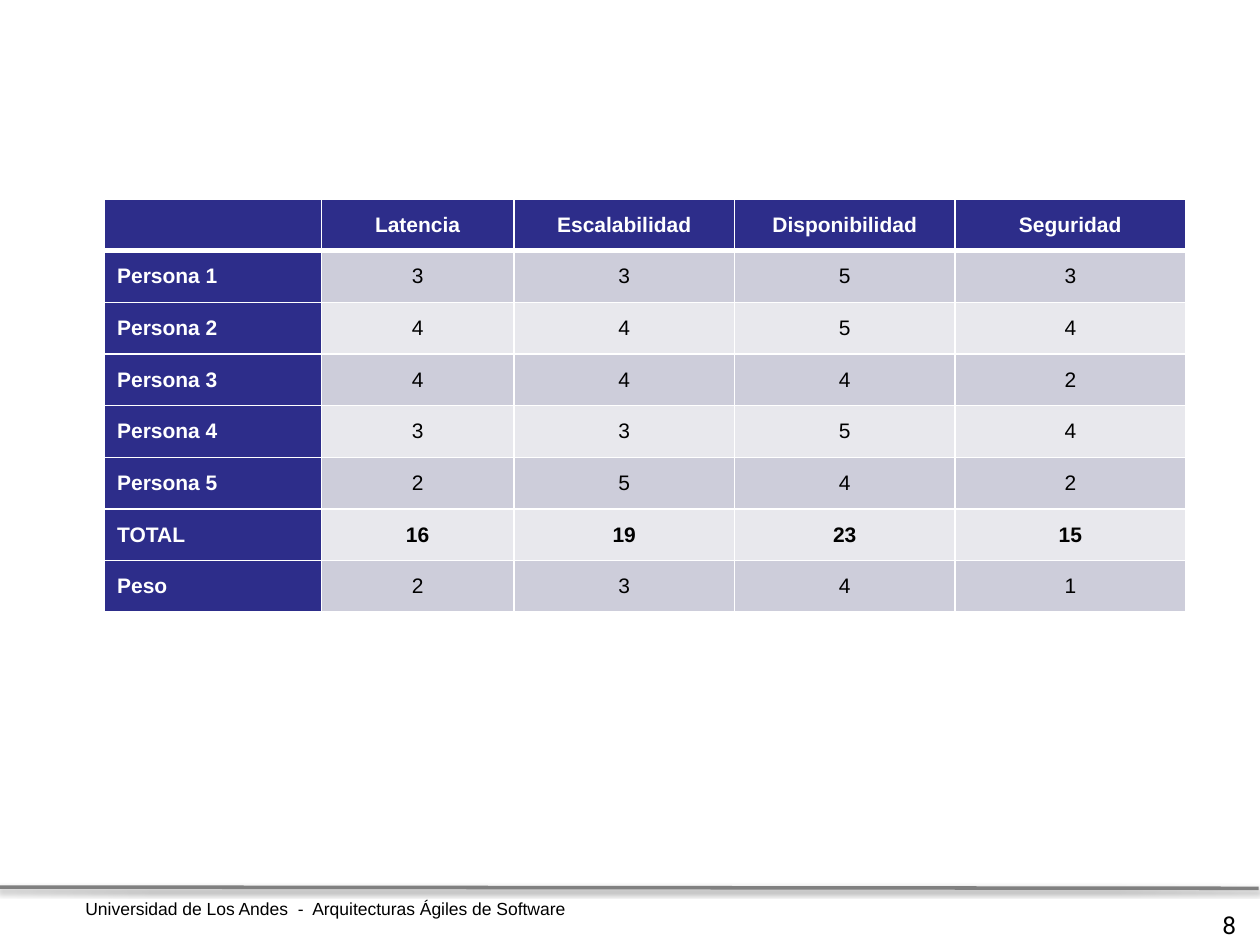
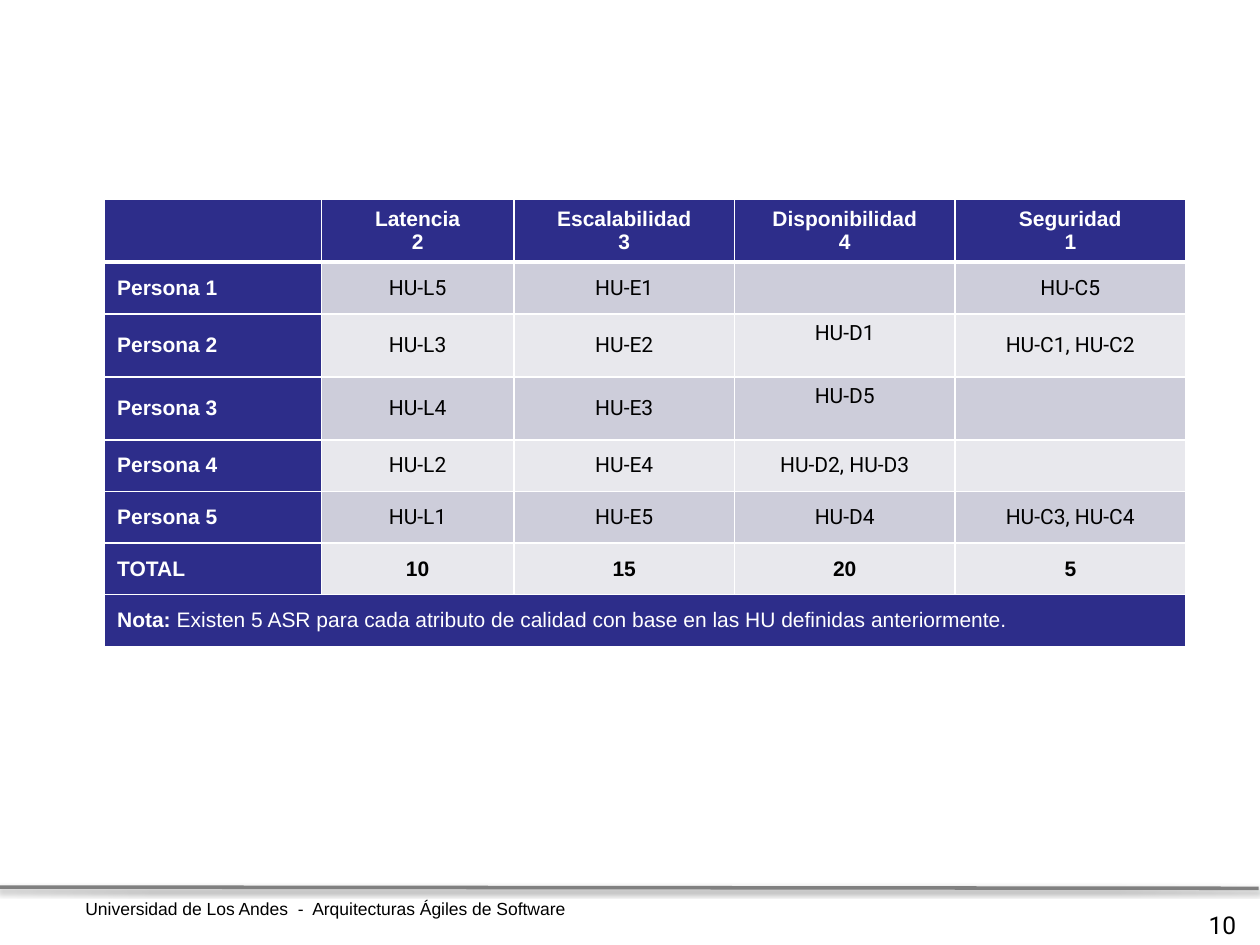
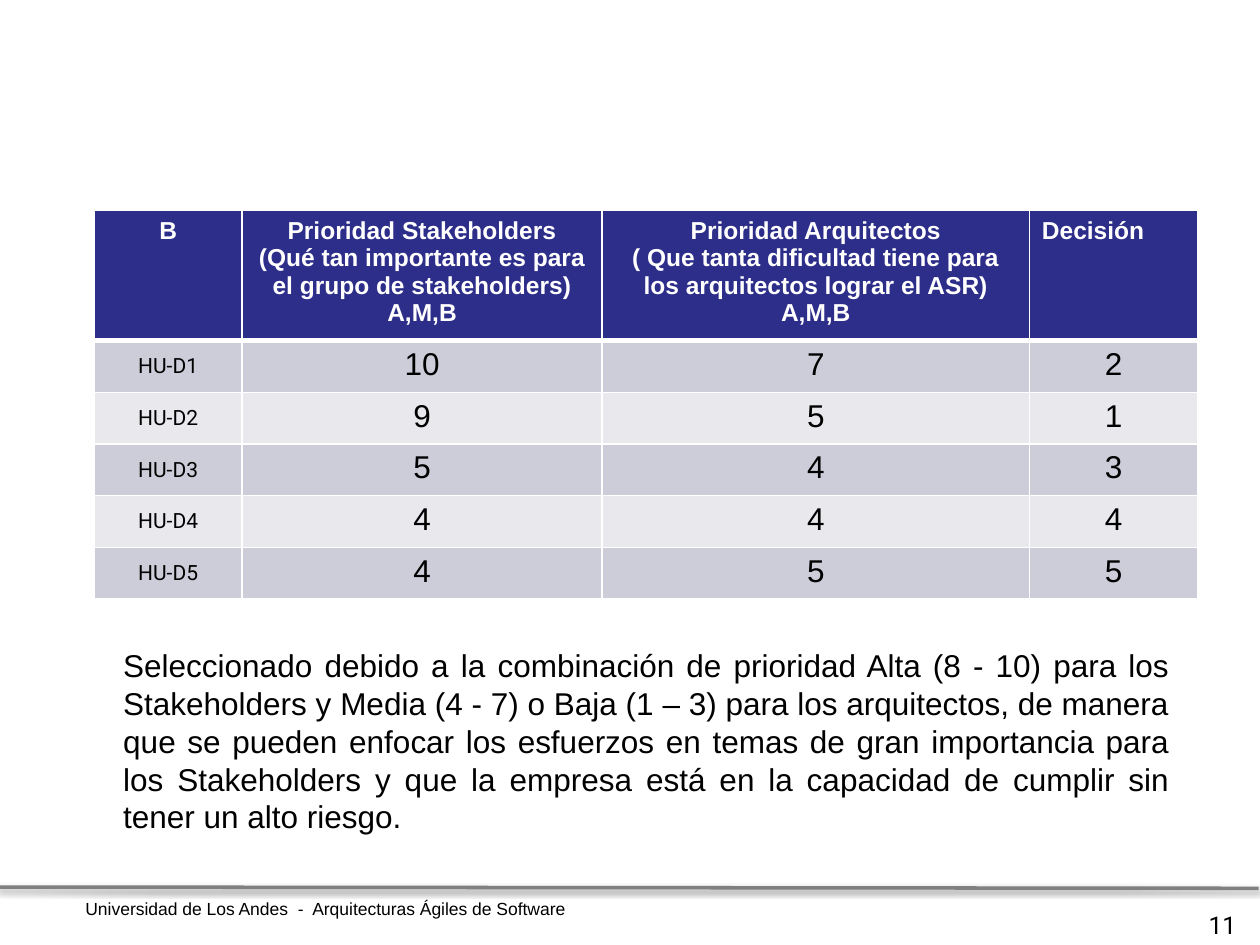
"""Builds three slides of quality-attribute voting and prioritisation tables."""
from lxml import etree
from pptx import Presentation
from pptx import util as u
from pptx.dml.color import RGBColor
from pptx.enum import shapes, text
from pptx.oxml import parse_xml
from pptx.oxml.ns import nsdecls, qn

NAVY, WHITE, BLACK, GREY = "2D2D8A", "FFFFFF", "000000", "808080"
BANDS = ["CDCDDA", "E8E8ED"]
LEFT, CENTER, RIGHT, JUSTIFY = (
    text.PP_ALIGN.LEFT, text.PP_ALIGN.CENTER, text.PP_ALIGN.RIGHT, text.PP_ALIGN.JUSTIFY)
ROW = 0.41
TALL_ROW = 0.5
FOOTER = "Universidad de Los Andes  -  Arquitecturas Ágiles de Software"
SHADOW = (
    f'<a:effectLst {nsdecls("a")}><a:outerShdw blurRad="40000" dist="20000" dir="5400000" '
    f'rotWithShape="0"><a:srgbClr val="{BLACK}"><a:alpha val="38000"/></a:srgbClr>'
    '</a:outerShdw></a:effectLst>')


def color(value):
    """Turns a hex string into a colour."""
    return RGBColor.from_string(value)


def write(frame, paragraphs, size, ink=BLACK, align=LEFT, font="Arial"):
    """Fills a text frame with paragraphs, each a list of (words, bold) runs."""
    for index, runs in enumerate(paragraphs):
        para = frame.paragraphs[0] if index == 0 else frame.add_paragraph()
        para.alignment = align
        for words, bold in runs:
            span = para.add_run()
            span.text = words
            span.font.name = font
            span.font.size = u.Pt(size)
            span.font.bold = bold
            span.font.color.rgb = color(ink)


quality_columns = [1.72, 1.53, 1.75, 1.75, 1.83]
tables = [
    dict(number="8", left=0.83, top=1.58, columns=quality_columns, heights=[ROW] * 8,
         named_rows=True, header_size=12, body_size=12, rows=[
             ["", "Latencia", "Escalabilidad", "Disponibilidad", "Seguridad"],
             ["Persona 1", "3", "3", "5", "3"],
             ["Persona 2", "4", "4", "5", "4"],
             ["Persona 3", "4", "4", "4", "2"],
             ["Persona 4", "3", "3", "5", "4"],
             ["Persona 5", "2", "5", "4", "2"],
             ["TOTAL", "16", "19", "23", "15"],
             ["Peso", "2", "3", "4", "1"]]),
    dict(number="10", left=0.83, top=1.58, columns=quality_columns,
         heights=[TALL_ROW, ROW, TALL_ROW, TALL_ROW] + [ROW] * 4,
         named_rows=True, header_size=12, body_size=12, rows=[
             ["", "Latencia\n2", "Escalabilidad\n3", "Disponibilidad\n4", "Seguridad\n1"],
             ["Persona 1", "HU-L5", "HU-E1", "", "HU-C5"],
             ["Persona 2", "HU-L3", "HU-E2", "HU-D1", "HU-C1, HU-C2"],
             ["Persona 3", "HU-L4", "HU-E3", "HU-D5", ""],
             ["Persona 4", "HU-L2", "HU-E4", "HU-D2, HU-D3", ""],
             ["Persona 5", "HU-L1", "HU-E5", "HU-D4", "HU-C3, HU-C4"],
             ["TOTAL", "10", "15", "20", "5"],
             ["", "", "", "", ""]]),
    dict(number="11", left=0.75, top=1.67, columns=[1.17, 2.86, 3.39, 1.34],
         heights=[1.03] + [ROW] * 5, named_rows=False, header_size=14, body_size=18, rows=[
             ["B",
              "Prioridad Stakeholders\n(Qué tan importante es para el grupo de stakeholders)\nA,M,B",
              "Prioridad Arquitectos\n( Que tanta dificultad tiene para los arquitectos "
              "lograr el ASR)\nA,M,B",
              "Decisión"],
             ["HU-D1", "10", "7", "2"],
             ["HU-D2", "9", "5", "1"],
             ["HU-D3", "5", "4", "3"],
             ["HU-D4", "4", "4", "4"],
             ["HU-D5", "4", "5", "5"]]),
]

deck = Presentation()
deck.slide_width, deck.slide_height = u.Inches(10), u.Inches(7.5)
blank = deck.slide_layouts[6]
grids = []

for entry in tables:
    page = deck.slides.add_slide(blank)

    rule = page.shapes.add_connector(
        shapes.MSO_CONNECTOR.STRAIGHT,
        u.Inches(-0.01), u.Inches(7.04), u.Inches(9.99), u.Inches(7.05))
    rule.line.color.rgb = color(GREY)
    rule.line.width = u.Pt(2)
    rule._element.spPr.append(parse_xml(SHADOW))

    footer = page.shapes.add_textbox(
        u.Inches(0.58), u.Inches(7.08), u.Inches(4.06), u.Inches(0.27))
    footer.text_frame.word_wrap = False
    write(footer.text_frame, [[(FOOTER, False)]], 10)

    number = page.shapes.add_textbox(
        u.Inches(7.58), u.Inches(7.17), u.Inches(2.33), u.Inches(0.27))
    number.text_frame.word_wrap = True
    write(number.text_frame, [[(entry["number"], False)]], 14, align=RIGHT, font="Roboto")

    columns, heights, rows = entry["columns"], entry["heights"], entry["rows"]
    grid = page.shapes.add_table(
        len(rows), len(columns), u.Inches(entry["left"]), u.Inches(entry["top"]),
        u.Inches(sum(columns)), u.Inches(sum(heights))).table
    grids.append(grid)
    for column, width in zip(grid.columns, columns):
        column.width = u.Inches(width)
    for row, height in zip(grid.rows, heights):
        row.height = u.Inches(height)

    for r, values in enumerate(rows):
        for c, value in enumerate(values):
            cell = grid.cell(r, c)
            header = r == 0
            row_name = entry["named_rows"] and c == 0
            story = value.startswith("HU-")
            dark = header or row_name

            properties = cell._tc.get_or_add_tcPr()
            thick = {"lnB": r == 0, "lnT": r == 1}
            for side in ("lnL", "lnR", "lnT", "lnB"):
                edge = etree.SubElement(properties, qn(f"a:{side}"))
                edge.set("w", str(u.Pt(3 if thick.get(side) else 1)))
                fill = etree.SubElement(edge, qn("a:solidFill"))
                etree.SubElement(fill, qn("a:srgbClr")).set("val", WHITE)
            cell.fill.solid()
            cell.fill.fore_color.rgb = color(NAVY if dark else BANDS[(r - 1) % 2])

            if entry["named_rows"] or story:
                cell.vertical_anchor = text.MSO_ANCHOR.MIDDLE
            if value in ("HU-D1", "HU-D5") and entry["named_rows"]:
                cell.margin_bottom = u.Inches(0.24)
            if value:
                bold = dark or values[0] == "TOTAL"
                size = entry["header_size"] if header else 12 if story else entry["body_size"]
                write(cell.text_frame, [[(line, bold)] for line in value.split("\n")], size,
                      WHITE if dark else BLACK,
                      LEFT if row_name or value == "Decisión" else CENTER,
                      "Roboto" if story else "Arial")

story_grid = grids[1]
note = story_grid.cell(7, 0)
note.merge(story_grid.cell(7, 4))
write(note.text_frame, [[
    ("Nota:", True),
    (" Existen 5 ASR para cada atributo de calidad con base en las HU definidas anteriormente.",
     False)]], 12, WHITE)

reason = page.shapes.add_textbox(
    u.Inches(0.88), u.Inches(5.08), u.Inches(8.5), u.Inches(1.62))
reason.text_frame.word_wrap = True
write(reason.text_frame, [[(
    "Seleccionado debido a la combinación de prioridad Alta (8 - 10) para los Stakeholders y "
    "Media (4 - 7) o Baja (1 – 3) para los arquitectos, de manera que se pueden enfocar los "
    "esfuerzos en temas de gran importancia para los Stakeholders y que la empresa está en la "
    "capacidad de cumplir sin tener un alto riesgo.", False)]], 18, align=JUSTIFY)

deck.save("out.pptx")
